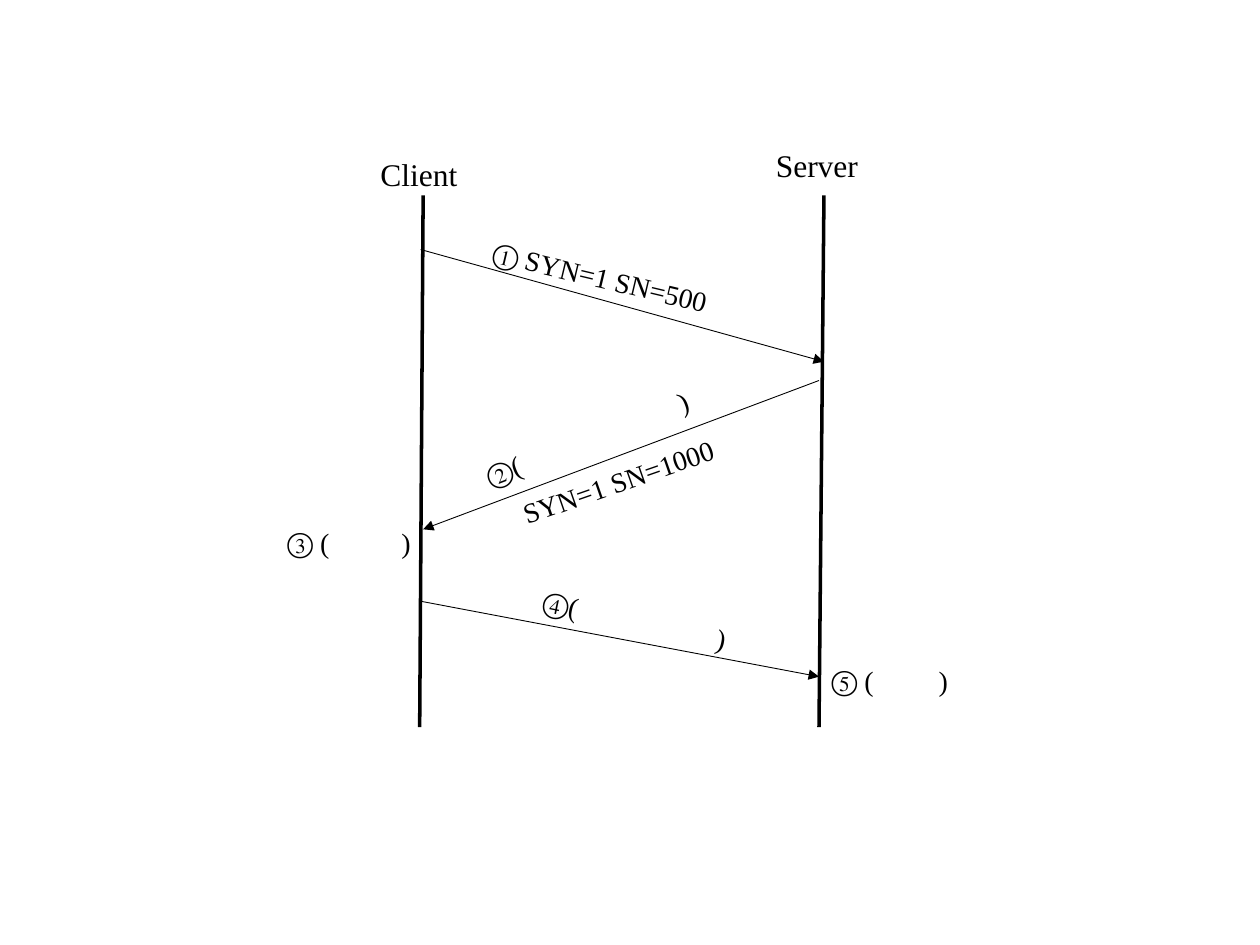
import pptx
import pptx.dml.color
import pptx.enum.shapes
import pptx.enum.text
import pptx.oxml.ns
import pptx.oxml.xmlchemy
import pptx.util
from dataclasses import dataclass
from lxml import etree

Cm, Pt = pptx.util.Cm, pptx.util.Pt
qn = pptx.oxml.ns.qn


@dataclass
class Theme:
    ink = pptx.dml.color.RGBColor(0, 0, 0)
    font = "Times New Roman"
    host_size = 18
    step_size = 16
    lifeline_width = 2
    arrow_width = 0.5


theme = Theme()

presentation = pptx.Presentation()
presentation.slide_width, presentation.slide_height = Cm(25.4), Cm(19.05)
slide = presentation.slides.add_slide(presentation.slide_layouts[6])


def add_label(text, *, left, top, width, height=0.94, size=theme.step_size,
              rotation=0, indent=0, tab=None):
    """Place a label; tab sets where the closing bracket of a blank stands."""
    label = slide.shapes.add_textbox(Cm(left), Cm(top), Cm(width), Cm(height))
    label.rotation = rotation
    frame = label.text_frame
    frame.word_wrap = tab is not None
    frame.auto_size = pptx.enum.text.MSO_AUTO_SIZE.SHAPE_TO_FIT_TEXT
    paragraph = frame.paragraphs[0]
    properties = paragraph._p.get_or_add_pPr()
    properties.set("marL", str(Cm(indent)))
    if tab is not None:
        stops = etree.SubElement(properties, qn("a:tabLst"))
        etree.SubElement(stops, qn("a:tab"), pos=str(Cm(tab)), algn="l")
    run = paragraph.add_run()
    run.text = text
    run.font.name = theme.font
    run.font.size = Pt(size)
    run.font.color.rgb = theme.ink


def add_line(start, end, width, arrow=False):
    line = slide.shapes.add_connector(
        pptx.enum.shapes.MSO_CONNECTOR.STRAIGHT, *map(Cm, start + end))
    line.line.color.rgb = theme.ink
    line.line.width = Pt(width)
    if arrow:
        etree.SubElement(line.line._get_or_add_ln(), qn("a:tailEnd"), type="triangle")
    etree.SubElement(line._element.spPr, qn("a:effectLst"))


# Lifelines of the two hosts
for top_x, bottom_x in [(8.53, 8.46), (16.61, 16.51)]:
    add_line((top_x, 3.94), (bottom_x, 14.66), theme.lifeline_width)

add_label("Client", left=7.42, top=3, width=2.29, height=1.02, size=theme.host_size)
add_label("Server", left=15.39, top=2.82, width=2.34, height=1.02, size=theme.host_size)

# Messages of the handshake
for start, end in [
    ((8.48, 5.03), (16.61, 7.29)),
    ((16.51, 7.67), (8.53, 10.67)),
    ((8.48, 12.12), (16.51, 13.64)),
]:
    add_line(start, end, theme.arrow_width, arrow=True)

# Message labels, tilted along their arrows
add_label("① SYN=1 SN=500", left=9.5, top=5.11, width=5.16, rotation=13.4, indent=0.14)
add_label("②(\t)", left=9.42, top=8.36, width=4.88, rotation=338.9, tab=4.14)
add_label("SYN=1 SN=1000", left=9.65, top=9.32, width=5.16, rotation=340.8, indent=0.56)
add_label("④(\t)", left=10.67, top=12.04, width=4.32, rotation=11.9, tab=3.57)

# States reached by client and server
add_label("③ (\t)", left=5.54, top=10.46, width=5.26, tab=2.3)
add_label("⑤ (\t)", left=16.51, top=13.26, width=5.26, tab=2.16)

presentation.save("out.pptx")
